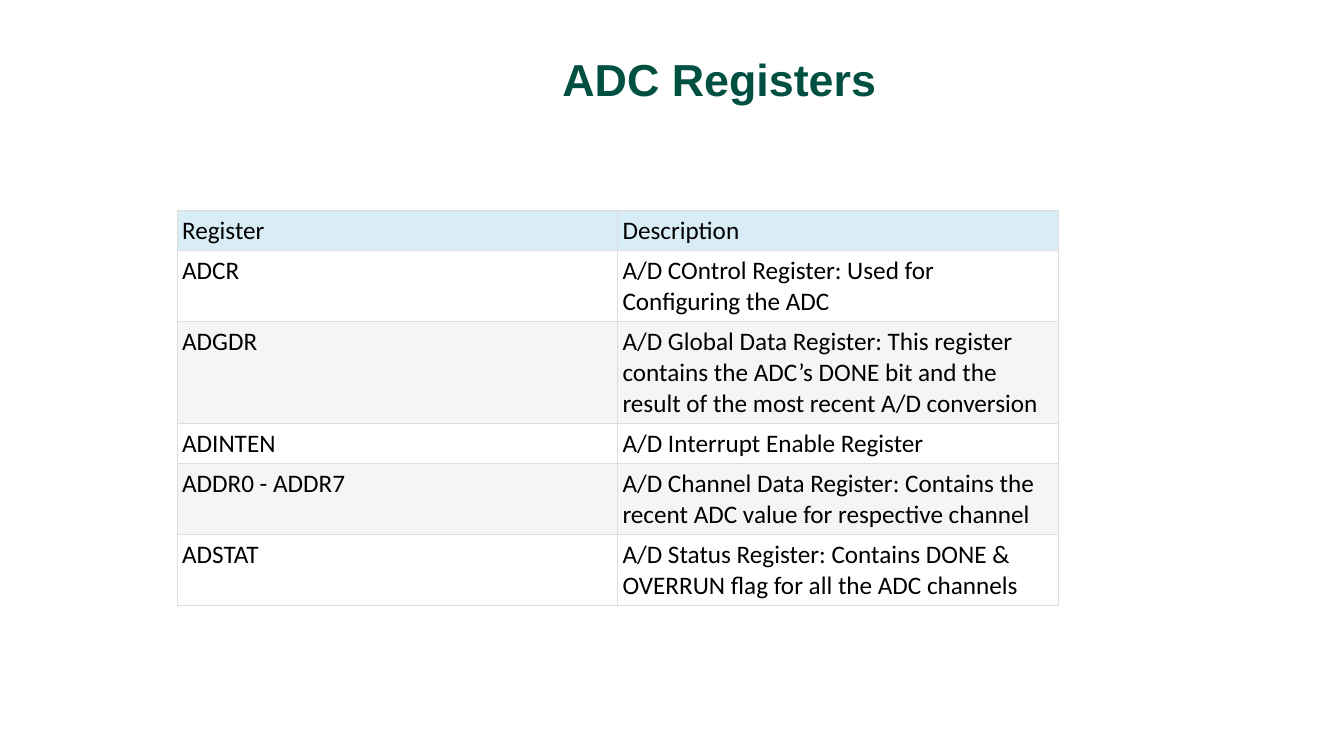
"""Build the ADC Registers slide with its register table."""
from lxml.etree import SubElement
from pptx import Presentation
from pptx.dml.color import RGBColor
from pptx.oxml.ns import qn
from pptx.util import Pt

TITLE = "ADC Registers"
HEADER = [("Register", "Description", 1)]
REGISTERS = [
    ("ADCR", "A/D COntrol Register: Used for Configuring the ADC", 2),
    ("ADGDR", "A/D Global Data Register: This register contains the ADC’s DONE bit "
              "and the result of the most recent A/D conversion", 3),
    ("ADINTEN", "A/D Interrupt Enable Register", 1),
    ("ADDR0 - ADDR7", "A/D Channel Data Register: Contains the recent ADC value "
                      "for respective channel", 2),
    ("ADSTAT", "A/D Status Register: Contains DONE & OVERRUN flag "
               "for all the ADC channels", 2),
]

THEME = {
    "title_font": "Arial", "title_size": 32, "title": "005042",
    "body_font": "Calibri", "body_size": 18, "text": "000000",
    "header_fill": "D9EDF7", "row_fills": ("FFFFFF", "F5F5F5"), "border": "DDDDDD",
}
SLIDE_W, SLIDE_H = 960, 540
TABLE_X, TABLE_Y, COL_W = 126.7, 150.4, 314.6
LINE_H, INSET, BORDER_W = 21.97, 3.4, 0.75


def style_font(p, font, size, color, bold=False):
    p.font.name = font
    p.font.size = Pt(size)
    p.font.bold = bold
    p.font.color.rgb = RGBColor.from_string(color)


def add_borders(cell):
    tc_pr = cell._tc.get_or_add_tcPr()
    for i, side in enumerate(("lnL", "lnR", "lnT", "lnB")):
        ln = tc_pr.makeelement(qn(f"a:{side}"), {"w": str(Pt(BORDER_W))})
        fill = SubElement(ln, qn("a:solidFill"))
        SubElement(fill, qn("a:srgbClr"), val=THEME["border"])
        tc_pr.insert(i, ln)


def fill_cell(cell, text, fill):
    cell.margin_left = cell.margin_right = Pt(INSET)
    cell.margin_top = cell.margin_bottom = Pt(INSET)
    cell.fill.solid()
    cell.fill.fore_color.rgb = RGBColor.from_string(fill)
    add_borders(cell)
    p = cell.text_frame.paragraphs[0]
    p.text = text
    style_font(p, THEME["body_font"], THEME["body_size"], THEME["text"])


def add_register_table(s, rows, y, fills):
    heights = [lines * LINE_H + 2 * INSET for _, _, lines in rows]
    table = s.shapes.add_table(len(rows), 2, Pt(TABLE_X), Pt(y),
                               Pt(2 * COL_W), Pt(sum(heights))).table
    table.first_row = table.horz_banding = False
    for col in table.columns:
        col.width = Pt(COL_W)
    for i, (name, description, _) in enumerate(rows):
        table.rows[i].height = Pt(heights[i])
        for j, text in enumerate((name, description)):
            fill_cell(table.cell(i, j), text, fills[i % len(fills)])
    return y + sum(heights)


def add_title(s):
    tf = s.shapes.add_textbox(Pt(394.6), Pt(33.1), Pt(240.5), Pt(46.1)).text_frame
    tf.word_wrap = False
    p = tf.paragraphs[0]
    p.text = TITLE
    style_font(p, THEME["title_font"], THEME["title_size"], THEME["title"], True)


def main():
    prs = Presentation()
    prs.slide_width, prs.slide_height = Pt(SLIDE_W), Pt(SLIDE_H)
    s = prs.slides.add_slide(prs.slide_layouts[6])
    add_title(s)
    body_y = add_register_table(s, HEADER, TABLE_Y, (THEME["header_fill"],))
    add_register_table(s, REGISTERS, body_y, THEME["row_fills"])
    prs.save("out.pptx")


if __name__ == "__main__":
    main()
